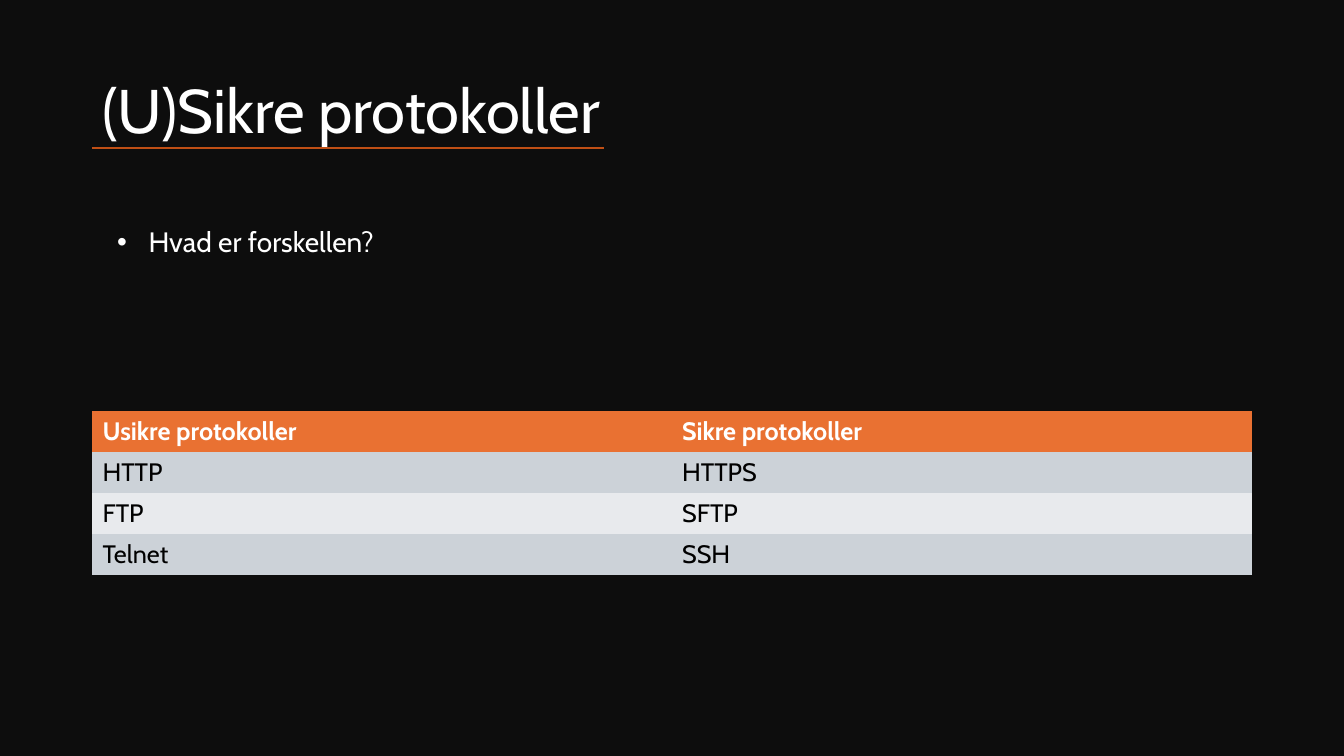
from dataclasses import dataclass

from lxml.etree import SubElement
from pptx import Presentation
from pptx.dml.color import RGBColor
from pptx.enum.shapes import MSO_CONNECTOR as Link
from pptx.enum.text import MSO_ANCHOR as Anchor, MSO_AUTO_SIZE as Fit, PP_ALIGN as Align
from pptx.oxml.ns import qn
from pptx.util import Cm, Pt


@dataclass(frozen=True)
class Theme:
    font: str = "Cabin"
    back: str = "0D0D0D"
    light: str = "FFFFFF"
    dark: str = "000000"
    head: str = "E97132"
    bands: tuple = ("CCD2D8", "E8EAED")
    rule: str = "C04F15"
    title: int = 44
    body: int = 20
    cell: int = 18


PLAIN = "{2D5ABB26-0587-4C30-8999-92F81FD0307C}"  # table style without grid


def paint(fill, color):
    fill.solid()
    fill.fore_color.rgb = RGBColor.from_string(color)


class Deck:
    def __init__(self, theme):
        self.theme = theme
        self.show = Presentation()
        self.show.slide_width, self.show.slide_height = Cm(33.87), Cm(19.05)
        self.slide = self.show.slides.add_slide(self.show.slide_layouts[1])
        paint(self.slide.background.fill, theme.back)

    def style(self, para, size, color, bold=False):
        para.alignment = Align.LEFT
        para.space_before = Pt(0)
        for run in para.runs:
            font = run.font
            font.name, font.size, font.bold = self.theme.font, Pt(size), bold
            font.color.rgb = RGBColor.from_string(color)

    def place(self, shape, left, top, width, height):
        shape.left, shape.top = Cm(left), Cm(top)
        shape.width, shape.height = Cm(width), Cm(height)

    def title(self, text, *box):
        shape = self.slide.shapes.title
        self.place(shape, *box)
        frame = shape.text_frame
        frame.text = text
        frame.vertical_anchor = Anchor.MIDDLE
        frame.auto_size = Fit.NONE
        para = frame.paragraphs[0]
        para.line_spacing = 0.9
        self.style(para, self.theme.title, self.theme.light)

    def bullets(self, lines, *box):
        shape = self.slide.placeholders[1]
        self.place(shape, *box)
        frame = shape.text_frame
        frame.text = "\n".join(lines)
        frame.auto_size = Fit.SHAPE_TO_FIT_TEXT
        for para in frame.paragraphs:
            props = para._p.get_or_add_pPr()
            props.set("marL", str(Cm(0.79)))
            props.set("indent", str(Cm(-0.79)))
            SubElement(props, qn("a:buFont"), typeface="Arial")
            SubElement(props, qn("a:buChar"), char="•")
            self.style(para, self.theme.body, self.theme.light)

    def table(self, rows, left, top, width, step):
        """Draw rows of equal height, the first as a header."""
        theme = self.theme
        grid = self.slide.shapes.add_table(
            len(rows), len(rows[0]), Cm(left), Cm(top), Cm(width), Cm(step * len(rows))
        ).table
        grid._tbl.tblPr.find(qn("a:tableStyleId")).text = PLAIN
        for i, row in enumerate(rows):
            back = theme.bands[(i - 1) % 2] if i else theme.head
            for j, text in enumerate(row):
                cell = grid.cell(i, j)
                cell.text = text
                paint(cell.fill, back)
                self.style(cell.text_frame.paragraphs[0], theme.cell,
                           theme.dark if i else theme.light, bold=i == 0)

    def rule(self, left, top, width):
        line = self.slide.shapes.add_connector(
            Link.STRAIGHT, Cm(left), Cm(top), Cm(left + width), Cm(top)
        )
        line.line.width = Pt(1.5)
        line.line.color.rgb = RGBColor.from_string(self.theme.rule)
        SubElement(line._element.spPr, qn("a:effectLst"))


def main():
    deck = Deck(Theme())
    edge, wide = 2.33, 29.21
    deck.title("(U)Sikre protokoller", edge, 1.01, wide, 3.68)
    deck.bullets(["Hvad er forskellen?"], 2.7, 5.54, 28.22, 1.11)
    deck.table(
        [
            ("Usikre protokoller", "Sikre protokoller"),
            ("HTTP", "HTTPS"),
            ("FTP", "SFTP"),
            ("Telnet", "SSH"),
        ],
        edge, 10.36, wide, 1.03,
    )
    deck.rule(edge, 3.73, 12.88)
    deck.show.save("out.pptx")


if __name__ == "__main__":
    main()
